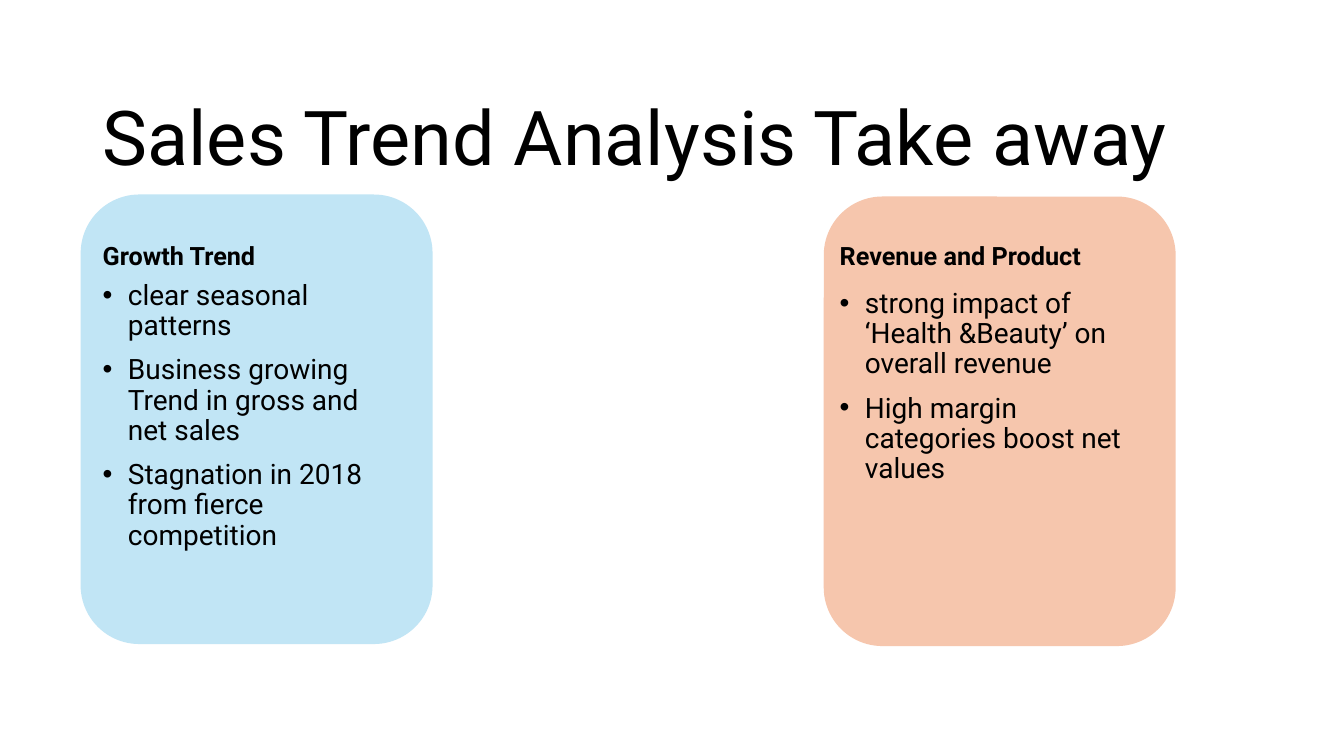
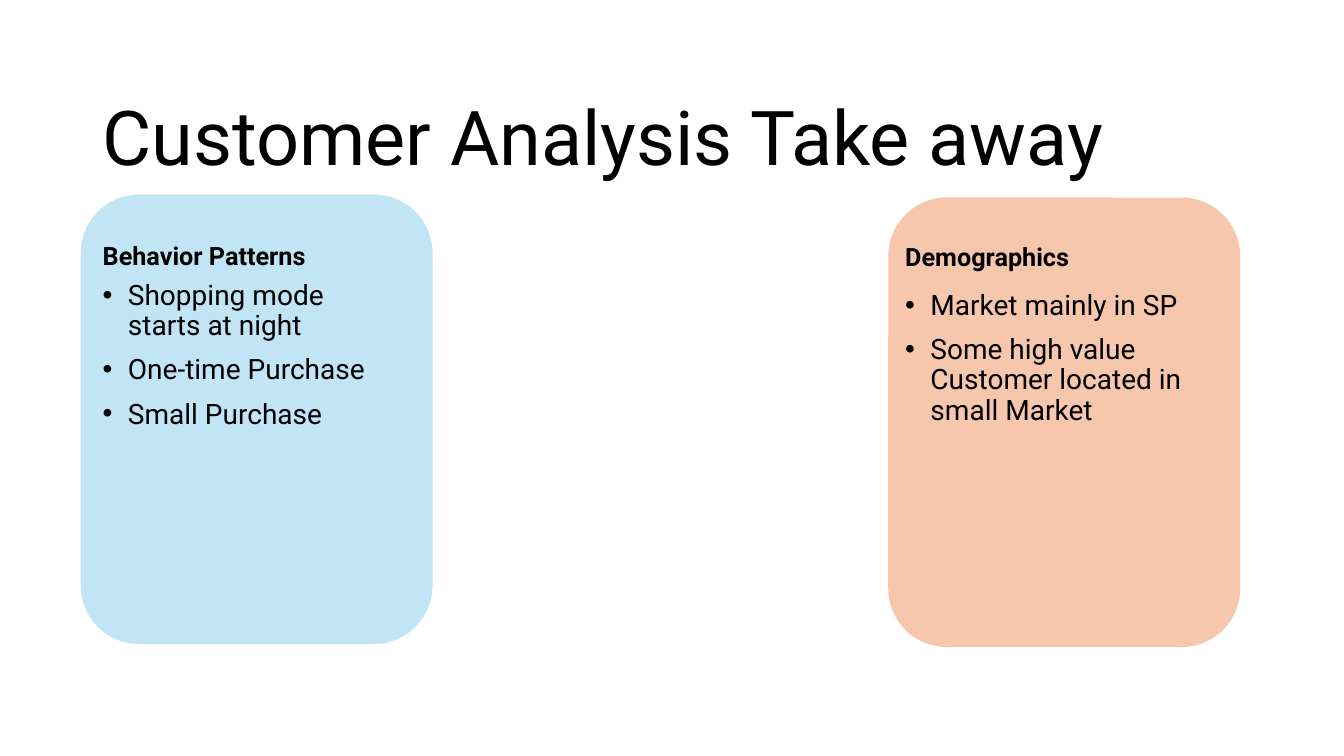
from dataclasses import dataclass

from lxml import etree
from pptx import Presentation
from pptx.dml.color import RGBColor
from pptx.enum.shapes import MSO_SHAPE
from pptx.enum.text import MSO_ANCHOR
from pptx.oxml.ns import qn
from pptx.util import Emu, Pt

EMU_PER_PX = 9144
SLIDE_WIDTH, SLIDE_HEIGHT = 1333, 750
FONT = "Roboto"
BLACK = RGBColor(0x00, 0x00, 0x00)
BLUE = RGBColor(0xC1, 0xE5, 0xF5)
PEACH = RGBColor(0xF6, 0xC6, 0xAD)
ROUNDED = MSO_SHAPE.ROUNDED_RECTANGLE
TOP, BOTTOM = MSO_ANCHOR.TOP, MSO_ANCHOR.BOTTOM

CARD_WIDTH, CARD_HEIGHT = 349, 446
TEXT_WIDTH, HEADING_HEIGHT, BODY_HEIGHT = 318, 90, 403
BULLET_INDENT = 25


@dataclass(frozen=True)
class Card:
    left: int
    top: int
    text_left: int
    heading_top: int
    body_top: int
    color: RGBColor
    heading: str
    points: tuple[str, ...]


@dataclass(frozen=True)
class Takeaway:
    title: str
    cards: tuple[Card, ...]


def blue_card(heading: str, *points: str) -> Card:
    return Card(80, 193, 92, 184, 274, BLUE, heading, points)


TAKEAWAYS = (
    Takeaway("Sales Trend Analysis Take away", (
        Card(817, 195, 823, 184, 282, PEACH, "Revenue and Product", (
            "strong impact of ‘Health &Beauty’ on overall revenue",
            "High margin categories boost net values",
        )),
        blue_card(
            "Growth Trend",
            "clear seasonal patterns",
            "Business growing Trend in gross and net sales",
            "Stagnation in 2018 from fierce competition",
        ),
    )),
    Takeaway("Customer Analysis Take away", (
        Card(881, 196, 888, 185, 284, PEACH, "Demographics", (
            "Market mainly in SP",
            "Some high value Customer located in small Market",
        )),
        blue_card(
            "Behavior Patterns",
            "Shopping mode starts at night",
            "One-time Purchase",
            "Small Purchase",
        ),
    )),
)


def px(length: int) -> Emu:
    return Emu(length * EMU_PER_PX)


def add_bullet(paragraph) -> None:
    properties = paragraph._p.get_or_add_pPr()
    properties.set("marL", str(px(BULLET_INDENT)))
    properties.set("indent", str(px(-BULLET_INDENT)))
    etree.SubElement(properties, qn("a:buFont")).set("typeface", "Arial")
    etree.SubElement(properties, qn("a:buChar")).set("char", "•")


def add_text(slide, lines: tuple[str, ...], left: int, top: int, width: int,
             height: int, *, size: int, bold: bool = False,
             anchor: MSO_ANCHOR = BOTTOM, space_before: int = 0,
             bulleted: bool = False) -> None:
    box = slide.shapes.add_textbox(px(left), px(top), px(width), px(height))
    frame = box.text_frame
    frame.word_wrap = True
    frame.vertical_anchor = anchor
    for index, line in enumerate(lines):
        paragraph = frame.add_paragraph() if index else frame.paragraphs[0]
        paragraph.line_spacing = 0.9
        paragraph.space_before = Pt(space_before)
        if bulleted:
            add_bullet(paragraph)
        run = paragraph.add_run()
        run.text = line
        run.font.name = FONT
        run.font.size = Pt(size)
        run.font.bold = bold
        run.font.color.rgb = BLACK


def add_panel(slide, card: Card) -> None:
    panel = slide.shapes.add_shape(
        ROUNDED, px(card.left), px(card.top), px(CARD_WIDTH), px(CARD_HEIGHT))
    panel.shadow.inherit = False
    panel.fill.solid()
    panel.fill.fore_color.rgb = card.color
    panel.line.fill.background()


def add_card_text(slide, card: Card) -> None:
    add_text(slide, (card.heading,), card.text_left, card.heading_top,
             TEXT_WIDTH, HEADING_HEIGHT, size=18, bold=True, space_before=10)
    add_text(slide, card.points, card.text_left, card.body_top,
             TEXT_WIDTH, BODY_HEIGHT, size=20, anchor=TOP, space_before=10,
             bulleted=True)


def add_takeaway(presentation, takeaway: Takeaway) -> None:
    slide = presentation.slides.add_slide(presentation.slide_layouts[6])
    for card in takeaway.cards:
        add_panel(slide, card)
    add_text(slide, (takeaway.title,), 92, 40, 1150, 145, size=54)
    for card in takeaway.cards:
        add_card_text(slide, card)


def main() -> None:
    presentation = Presentation()
    presentation.slide_width = px(SLIDE_WIDTH)
    presentation.slide_height = px(SLIDE_HEIGHT)
    for takeaway in TAKEAWAYS:
        add_takeaway(presentation, takeaway)
    presentation.save("out.pptx")


if __name__ == "__main__":
    main()
